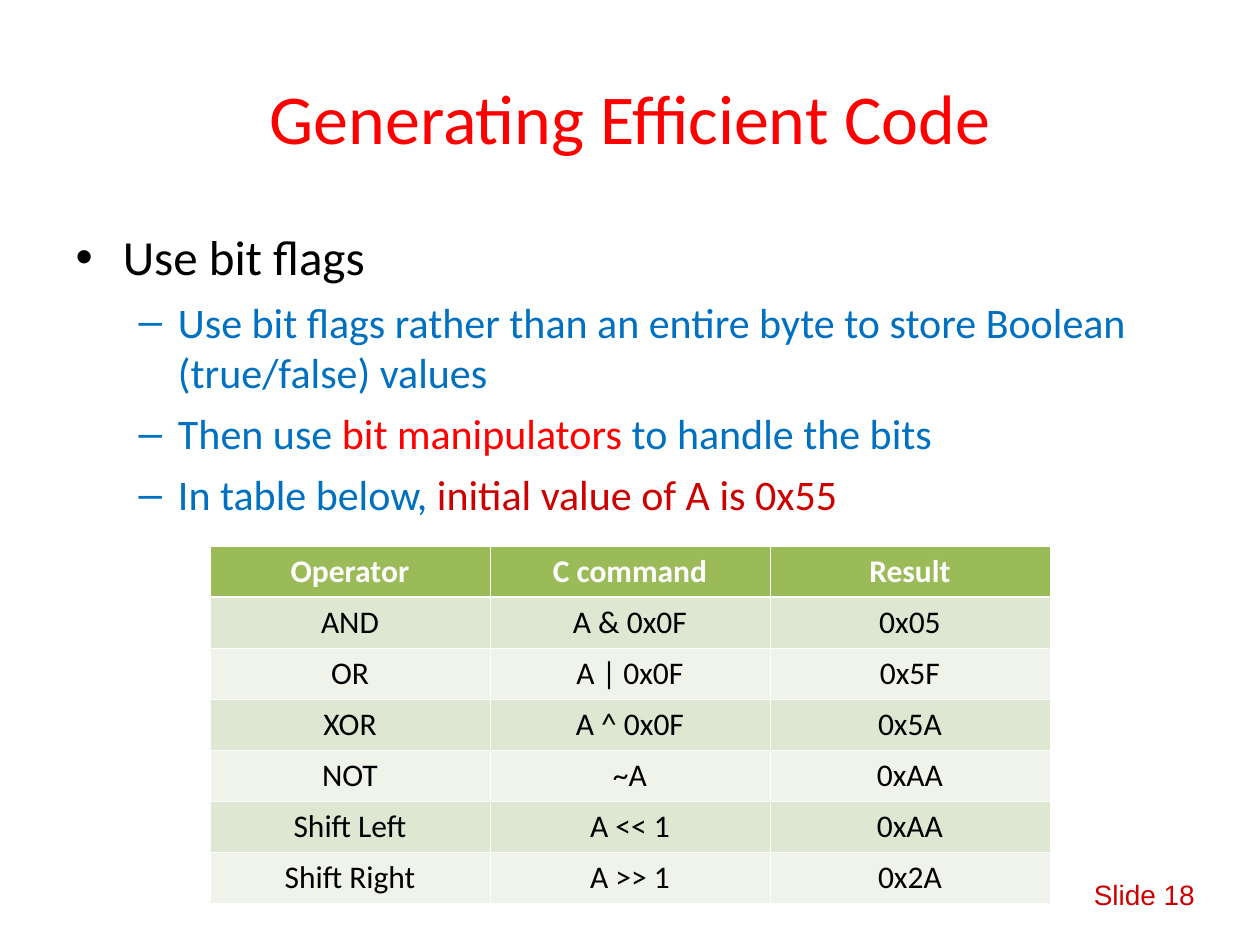
from lxml import etree
from pptx import Presentation
from pptx.dml.color import RGBColor
from pptx.enum.text import MSO_ANCHOR, MSO_AUTO_SIZE, PP_ALIGN
from pptx.oxml.ns import qn
from pptx.util import Pt

CENTER = PP_ALIGN.CENTER
MIDDLE, TOP = MSO_ANCHOR.MIDDLE, MSO_ANCHOR.TOP
NO_FIT = MSO_AUTO_SIZE.NONE

TITLE = "Generating Efficient Code"
FOOTER = "Slide 18"
# Each bullet: level, then runs of (text, colour name)
BULLETS = [
    (0, [("Use bit flags", "black")]),
    (1, [("Use bit flags rather than an entire byte to store Boolean "
          "(true/false) values", "blue")]),
    (1, [("Then use ", "blue"), ("bit manipulators", "red"),
         (" to handle the bits", "blue")]),
    (1, [("In table below, ", "blue"),
         ("initial value of A is 0x55", "dark_red")]),
]
OPERATORS = [
    ("Operator", "C command", "Result"),
    ("AND", "A & 0x0F", "0x05"),
    ("OR", "A | 0x0F", "0x5F"),
    ("XOR", "A ^ 0x0F", "0x5A"),
    ("NOT", "~A", "0xAA"),
    ("Shift Left", "A << 1", "0xAA"),
    ("Shift Right", "A >> 1", "0x2A"),
]

THEME = {
    "font": "Calibri", "footer_font": "Arial",
    "title_size": 40, "footer_size": 16, "cell_size": 18,
    "black": "000000", "white": "FFFFFF", "red": "FF0000",
    "dark_red": "CC0000", "blue": "0070C0",
    "header_fill": "9BBB59", "odd_fill": "DEE7D1", "even_fill": "EFF3EA",
    "thin_line": 0.45, "thick_line": 1.47,
}
LEVELS = [
    {"size": 28, "before": 7, "left": 27, "hanging": 27, "bullet": "•"},
    {"size": 24, "before": 6, "left": 58.5, "hanging": 22.5, "bullet": "–"},
]
TITLE_BOX = (36, 21.6, 648, 90)
BODY_BOX = (36, 126, 648, 356.4)
FOOTER_BOX = (618, 498, 90, 26.6)
TABLE_LEFT, TABLE_TOP = 120, 312
COLUMN_WIDTH, ROW_HEIGHT = 160, 29.2


def add_text(paragraph, text, size, color, font=THEME["font"], bold=False,
             align=None):
    run = paragraph.add_run()
    run.text = text
    run.font.size = Pt(size)
    run.font.name = font
    run.font.bold = bold
    run.font.color.rgb = RGBColor.from_string(THEME[color])
    if align is not None:
        paragraph.alignment = align


def place(shape, box, anchor=TOP):
    """Move a text shape to its box and fix its wrapping."""
    shape.left, shape.top, shape.width, shape.height = map(Pt, box)
    frame = shape.text_frame
    frame.word_wrap = True
    frame.auto_size = NO_FIT
    frame.vertical_anchor = anchor
    return frame


def set_bullet(paragraph, level, color):
    style = LEVELS[level]
    paragraph.level = level
    paragraph.space_before = Pt(style["before"])
    properties = paragraph._p.get_or_add_pPr()
    properties.set("marL", str(Pt(style["left"])))
    properties.set("indent", str(-Pt(style["hanging"])))
    bullet_color = etree.SubElement(properties, qn("a:buClr"))
    etree.SubElement(bullet_color, qn("a:srgbClr"), val=THEME[color])
    etree.SubElement(properties, qn("a:buFont"), typeface="Arial")
    etree.SubElement(properties, qn("a:buChar"), char=style["bullet"])


def set_borders(cell, row):
    """White borders, thicker between the header and the first data row."""
    thin, thick = THEME["thin_line"], THEME["thick_line"]
    widths = {"L": thin, "R": thin, "T": thick if row == 1 else thin,
              "B": thick if row == 0 else thin}
    properties = cell._tc.get_or_add_tcPr()
    for position, (side, width) in enumerate(widths.items()):
        line = etree.Element(qn(f"a:ln{side}"), w=str(Pt(width)))
        fill = etree.SubElement(line, qn("a:solidFill"))
        etree.SubElement(fill, qn("a:srgbClr"), val=THEME["white"])
        properties.insert(position, line)


def add_operator_table(slide):
    row_count, column_count = len(OPERATORS), len(OPERATORS[0])
    table = slide.shapes.add_table(
        row_count, column_count, Pt(TABLE_LEFT), Pt(TABLE_TOP),
        Pt(COLUMN_WIDTH * column_count), Pt(ROW_HEIGHT * row_count)).table
    for row, values in enumerate(OPERATORS):
        header = row == 0
        fill = "header_fill" if header else "odd_fill" if row % 2 else "even_fill"
        table.rows[row].height = Pt(ROW_HEIGHT)
        for column, value in enumerate(values):
            cell = table.cell(row, column)
            cell.fill.solid()
            cell.fill.fore_color.rgb = RGBColor.from_string(THEME[fill])
            set_borders(cell, row)
            add_text(cell.text_frame.paragraphs[0], value, THEME["cell_size"],
                     "white" if header else "black", bold=header, align=CENTER)


def main():
    presentation = Presentation()
    presentation.slide_width, presentation.slide_height = Pt(720), Pt(540)
    slide = presentation.slides.add_slide(presentation.slide_layouts[1])

    title = place(slide.shapes.title, TITLE_BOX, MIDDLE)
    add_text(title.paragraphs[0], TITLE, THEME["title_size"], "red", align=CENTER)

    body = place(slide.placeholders[1], BODY_BOX)
    for index, (level, runs) in enumerate(BULLETS):
        paragraph = body.add_paragraph() if index else body.paragraphs[0]
        set_bullet(paragraph, level, runs[0][1])
        for text, color in runs:
            add_text(paragraph, text, LEVELS[level]["size"], color)

    add_operator_table(slide)

    footer = place(slide.shapes.add_textbox(0, 0, 0, 0), FOOTER_BOX)
    add_text(footer.paragraphs[0], FOOTER, THEME["footer_size"], "dark_red",
             font=THEME["footer_font"])
    presentation.save("out.pptx")


if __name__ == "__main__":
    main()
